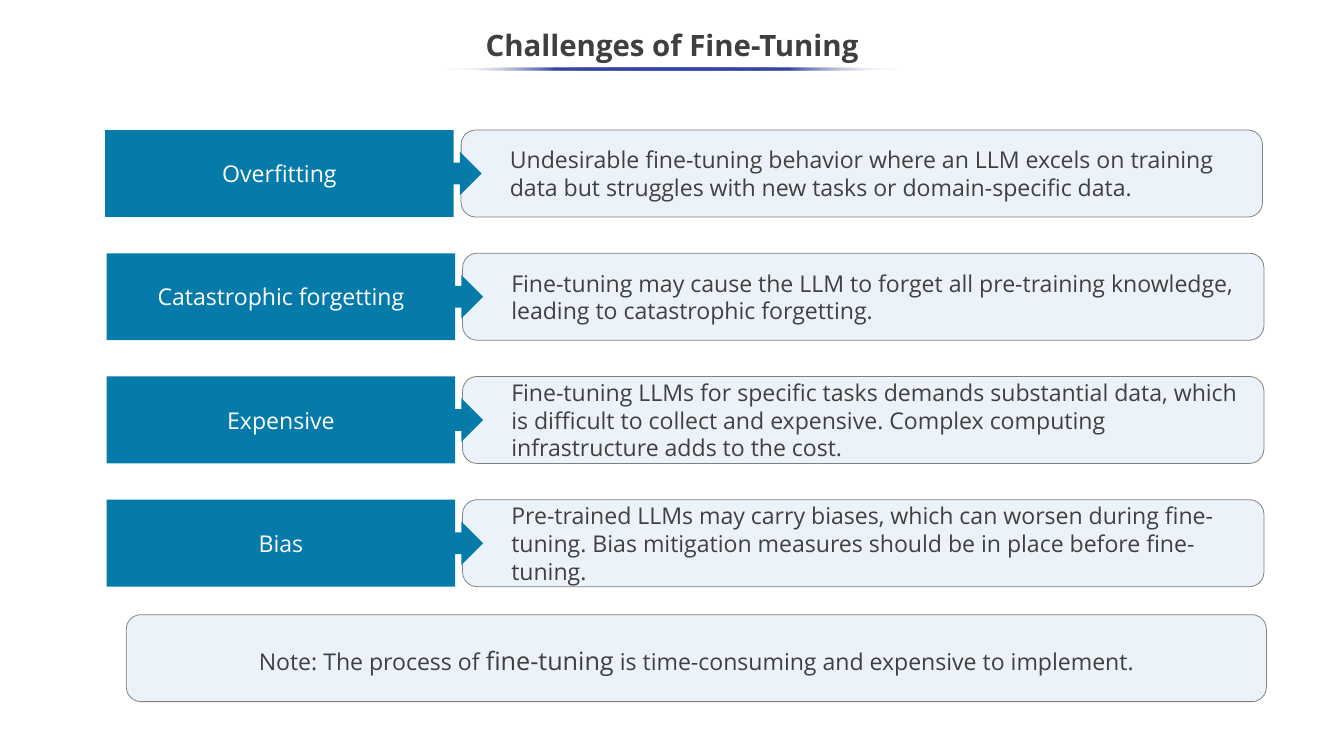
from lxml import etree
from pptx import Presentation
from pptx import util as u
from pptx.dml.color import RGBColor
from pptx.enum import shapes, text
from pptx.oxml import ns

FONT = "Open Sans"
BLUE, PALE, GREY = "067BAA", "EBF2FA", "808080"
DARK, BODY, WHITE, INDIGO = "3F3F3F", "404040", "FFFFFF", "3645A9"
ROW_TOP, ROW_PITCH, ROW_HEIGHT = 123.84, 117.36, 82.8
CALLOUT_LEFT, CALLOUT_WIDTH = 101.5, 358.6
CARD_LEFT, CARD_WIDTH = 440.6, 763.2
FIRST_ROW_SHIFT = -1.4

CHALLENGES = [
    ("Overfitting",
     "Undesirable fine-tuning behavior where an LLM excels on training data "
     "but struggles with new tasks or domain-specific data."),
    ("Catastrophic forgetting",
     "Fine-tuning may cause the LLM to forget all pre-training knowledge, "
     "leading to catastrophic forgetting."),
    ("Expensive",
     "Fine-tuning LLMs for specific tasks demands substantial data, which is "
     "difficult to collect and expensive. Complex computing infrastructure "
     "adds to the cost."),
    ("Bias",
     "Pre-trained LLMs may carry biases, which can worsen during fine-tuning. "
     "Bias mitigation measures should be in place before fine-tuning."),
]
NOTE = [
    ("Note: The process of ", 22),
    ("fine-tuning", 24),
    (" is time-consuming and expensive to implement.", 22),
]


def colour(value):
    return RGBColor.from_string(value)


def apply_format(target, values):
    for name, value in values.items():
        setattr(target, name, value)


def write_text(shape, runs, hex_colour, bold=False, indent=0, **paragraph_format):
    frame = shape.text_frame
    apply_format(frame, {"word_wrap": True, "vertical_anchor": text.MSO_ANCHOR.MIDDLE})
    paragraph = frame.paragraphs[0]
    apply_format(paragraph, paragraph_format)
    if indent:
        properties = paragraph._p.get_or_add_pPr()
        properties.set("marL", str(u.Pt(indent)))
        properties.set("indent", "0")
    for words, size in runs:
        run = paragraph.add_run()
        run.text = words
        apply_format(run.font, {"name": FONT, "size": u.Pt(size), "bold": bold})
        run.font.color.rgb = colour(hex_colour)


def add_shape(slide, kind, left, top, width, height, fill=None, line=None):
    shape = slide.shapes.add_shape(kind, u.Pt(left), u.Pt(top), u.Pt(width), u.Pt(height))
    shape.shadow.inherit = False
    if fill:
        shape.fill.solid()
        shape.fill.fore_color.rgb = colour(fill)
    if line:
        shape.line.color.rgb = colour(line)
        shape.line.width = u.Pt(0.75)
    else:
        shape.line.fill.background()
    return shape


def add_title(slide, words):
    box = slide.shapes.add_textbox(u.Pt(0), u.Pt(18), u.Pt(1280), u.Pt(54))
    write_text(box, [(words, 28)], DARK, bold=True,
               alignment=text.PP_ALIGN.CENTER, line_spacing=0.9)


def add_underline(slide):
    underline = add_shape(slide, shapes.MSO_SHAPE.OVAL, 418.3, 64.1, 443.5, 2.9)
    underline.fill.gradient()
    underline.fill.gradient_angle = 180
    stops = underline._element.spPr.find(".//" + ns.qn("a:gsLst"))
    stops.clear()
    for position, value in zip(range(0, 101, 25), [WHITE, INDIGO, INDIGO, INDIGO, WHITE]):
        stop = etree.SubElement(stops, ns.qn("a:gs"), pos=str(position * 1000))
        shade = etree.SubElement(stop, ns.qn("a:srgbClr"), val=value)
        if value == WHITE:
            etree.SubElement(shade, ns.qn("a:alpha"), val="0")


def add_card(slide, left, top, width):
    return add_shape(slide, shapes.MSO_SHAPE.ROUNDED_RECTANGLE,
                     left, top, width, ROW_HEIGHT, PALE, GREY)


def add_callout(slide, left, top, words):
    callout = add_shape(slide, shapes.MSO_SHAPE.RIGHT_ARROW_CALLOUT,
                        left, top, CALLOUT_WIDTH, ROW_HEIGHT, BLUE)
    for index, value in enumerate([0.25, 0.25, 0.25, 0.926]):
        callout.adjustments[index] = value
    write_text(callout, [(words, 22)], WHITE, alignment=text.PP_ALIGN.CENTER)


def add_challenge(slide, index, name, description):
    top = ROW_TOP + index * ROW_PITCH
    shift = FIRST_ROW_SHIFT if index == 0 else 0
    card = add_card(slide, CARD_LEFT + shift, top, CARD_WIDTH)
    write_text(card, [(description, 22)], BODY, indent=35.3,
               alignment=text.PP_ALIGN.LEFT, level=1)
    add_callout(slide, CALLOUT_LEFT + shift, top, name)


def main():
    presentation = Presentation()
    apply_format(presentation, {"slide_width": u.Pt(1280), "slide_height": u.Pt(720)})
    slide = presentation.slides.add_slide(presentation.slide_layouts[6])
    add_title(slide, "Challenges of Fine-Tuning")
    add_underline(slide)
    for index, (name, description) in enumerate(CHALLENGES):
        add_challenge(slide, index, name, description)
    note = add_card(slide, 120.3, 585.4, 1085.8)
    write_text(note, NOTE, DARK, alignment=text.PP_ALIGN.CENTER, line_spacing=1.15)
    presentation.save("out.pptx")


if __name__ == "__main__":
    main()
